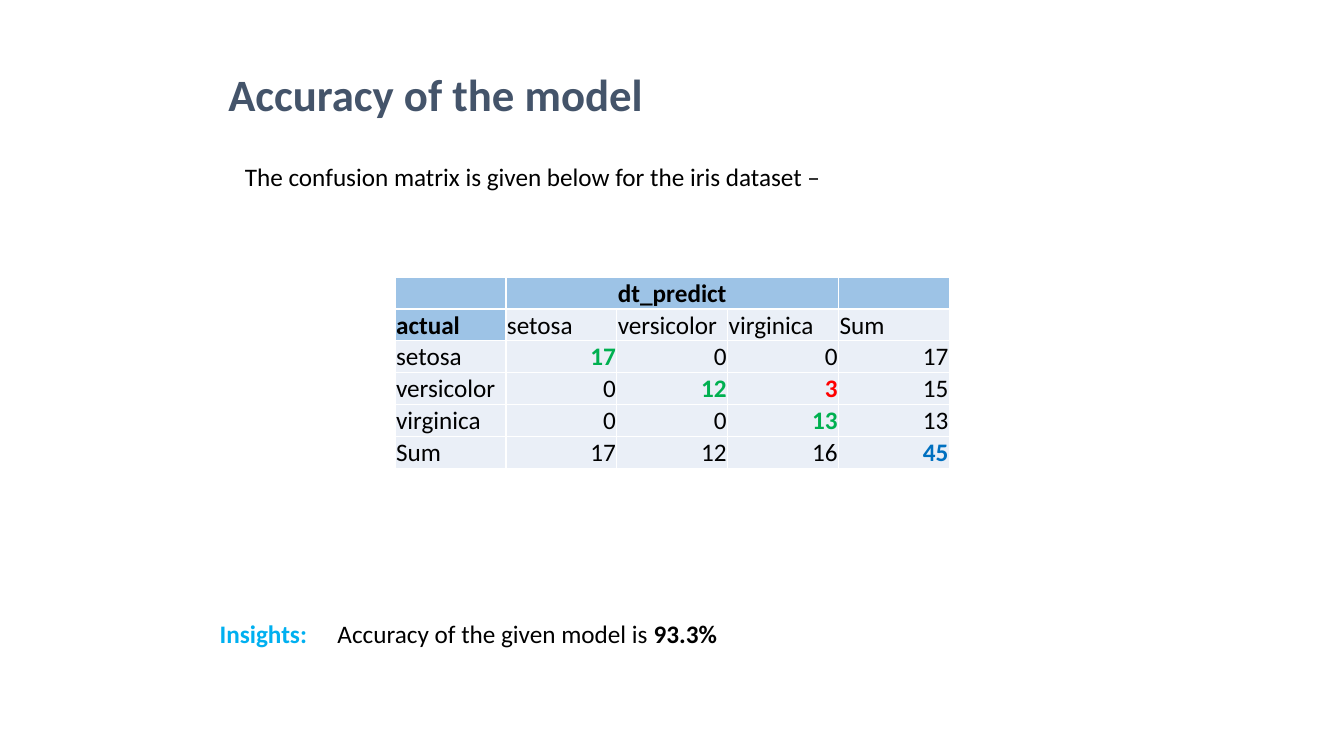
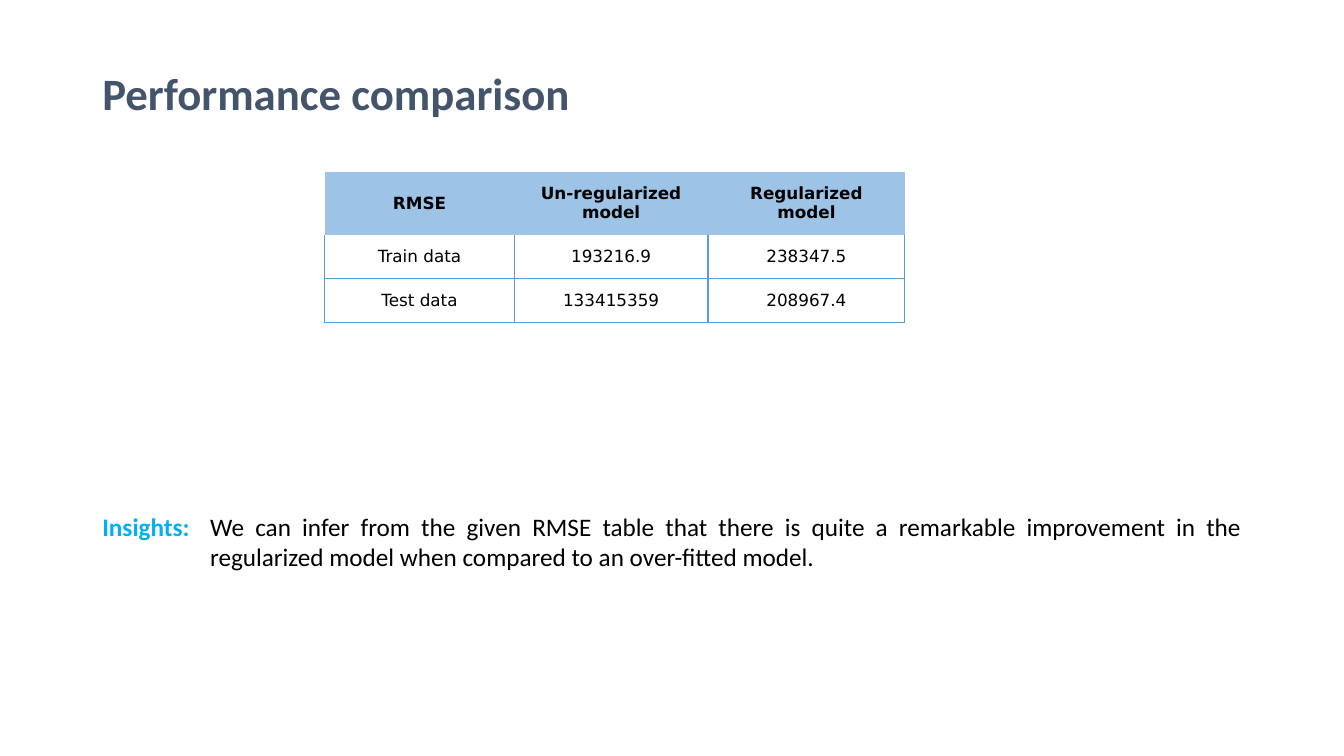
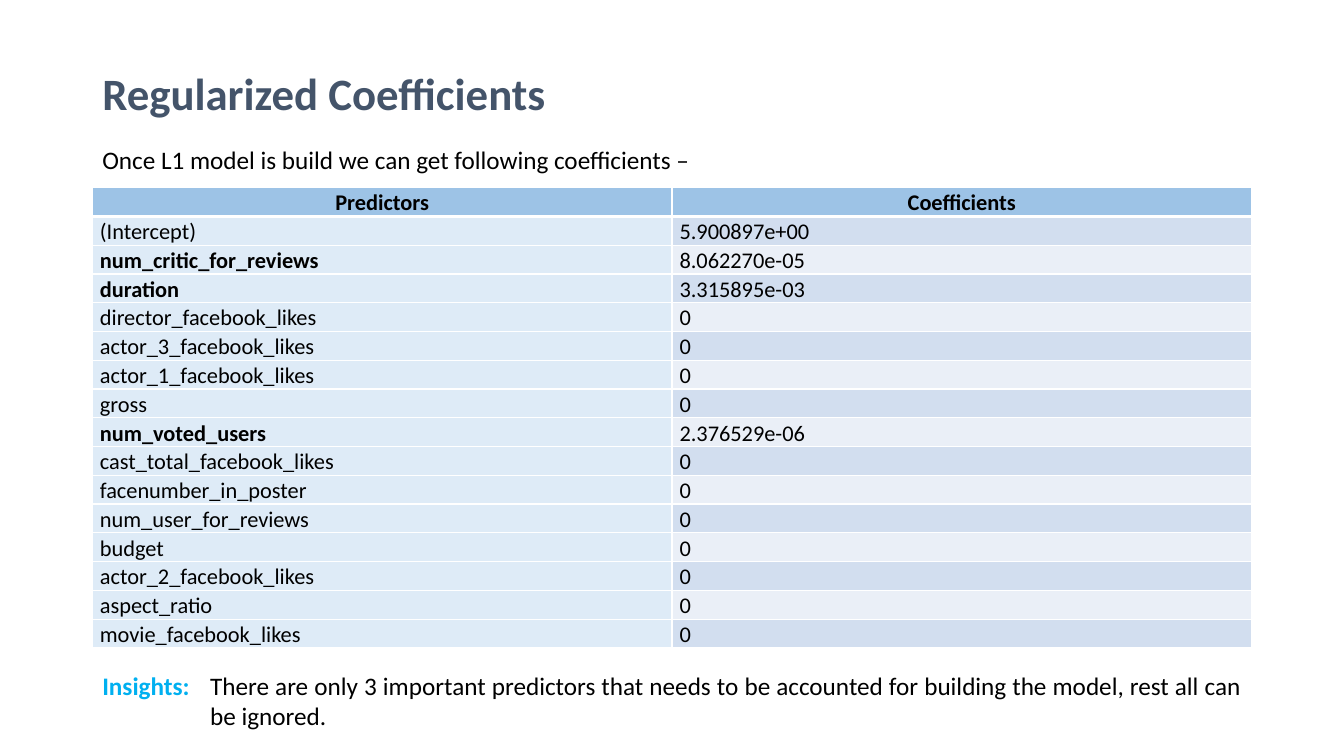
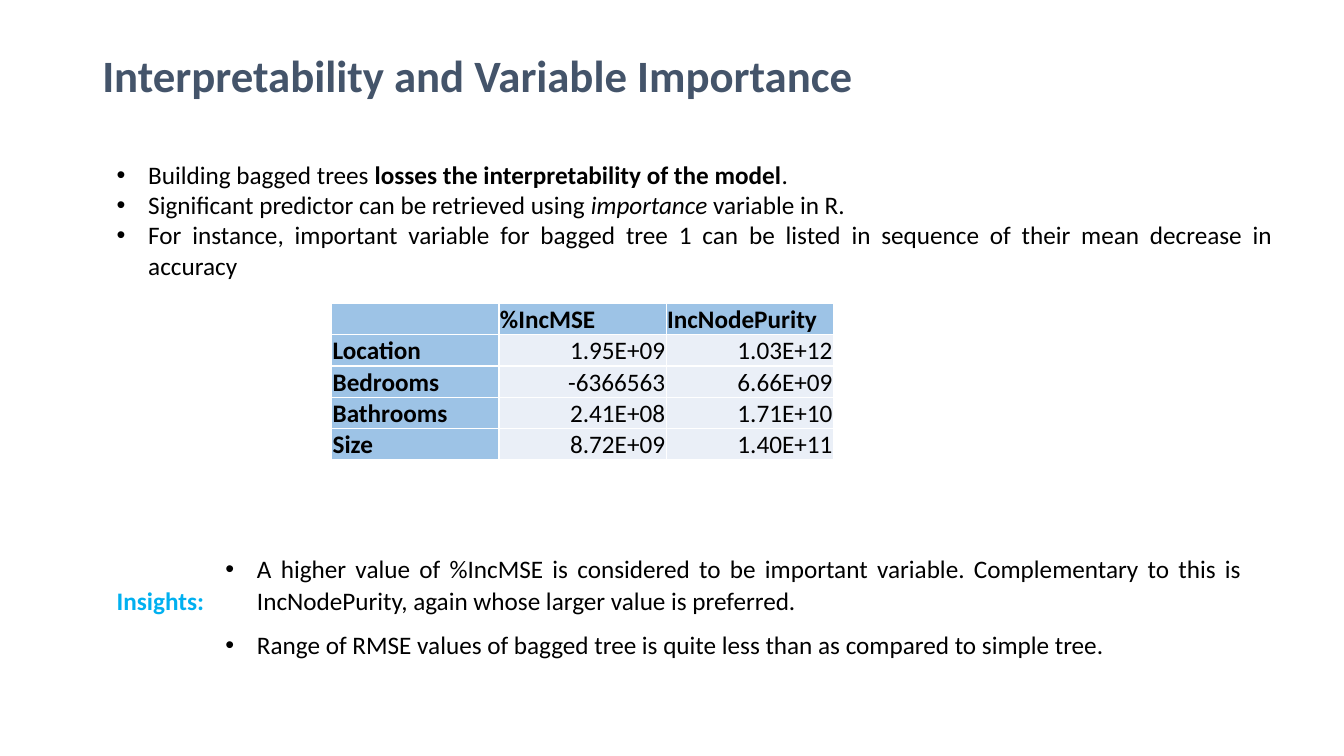
import dataclasses

import lxml.etree
import pptx
import pptx.dml.color
import pptx.enum.text
import pptx.oxml.ns
import pptx.util

Pt = pptx.util.Pt
RGBColor = pptx.dml.color.RGBColor
ALIGN = pptx.enum.text.PP_ALIGN
ANCHOR = pptx.enum.text.MSO_ANCHOR
qn = pptx.oxml.ns.qn

BLACK = RGBColor(0x00, 0x00, 0x00)
WHITE = RGBColor(0xFF, 0xFF, 0xFF)
SLATE = RGBColor(0x44, 0x54, 0x6A)
CYAN = RGBColor(0x00, 0xB0, 0xF0)
GREEN = RGBColor(0x00, 0xB0, 0x50)
RED = RGBColor(0xFF, 0x00, 0x00)
BLUE = RGBColor(0x00, 0x70, 0xC0)
RULE_BLUE = RGBColor(0x5B, 0x9B, 0xD5)
HEADER_FILL = RGBColor(0x9D, 0xC3, 0xE6)
LABEL_FILL = RGBColor(0xDE, 0xEB, 0xF7)
LIGHT_FILL = RGBColor(0xEA, 0xEF, 0xF7)
BAND_FILL = RGBColor(0xD2, 0xDE, 0xEF)

FONT = "Calibri"
TABLE_FONT = "DejaVu Sans"
LEFT = 66
CONTENT_WIDTH = 828
LABEL_WIDTH = 77
LINE_HEIGHT = 29
TWO_LINES = 51
BULLET_INDENT = 22.5
SIDES = ("L", "R", "T", "B")
WHITE_GRID = {side: (WHITE, 1) for side in SIDES}


@dataclasses.dataclass
class Cell:
    text: str
    fill: RGBColor = LIGHT_FILL
    align: ALIGN = ALIGN.LEFT
    bold: bool = False
    color: RGBColor = BLACK
    borders: dict = dataclasses.field(default_factory=lambda: WHITE_GRID)


@dataclasses.dataclass
class TableStyle:
    size: float = 18
    font: str = FONT
    margins: tuple = (0.75, 0.75, 0.75, 0)
    anchor: ANCHOR = ANCHOR.BOTTOM
    line_spacing: object = 1.0


def format_run(run, size, color=BLACK, bold=False, italic=False, font=FONT):
    run.font.name = font
    run.font.size = Pt(size)
    run.font.bold = bold
    run.font.italic = italic
    run.font.color.rgb = color


def add_bullet(paragraph):
    properties = paragraph._p.get_or_add_pPr()
    properties.set("marL", str(Pt(BULLET_INDENT)))
    properties.set("indent", str(-Pt(BULLET_INDENT)))
    lxml.etree.SubElement(properties, qn("a:buFont")).set("typeface", "Arial")
    lxml.etree.SubElement(properties, qn("a:buChar")).set("char", "•")


def add_text(slide, bounds, paragraphs, size=18, color=BLACK, bold=False,
             align=ALIGN.JUSTIFY, anchor=ANCHOR.TOP, line_spacing=1.0,
             space_after=0, bullets=False, wrap=True, grow=True):
    box = slide.shapes.add_textbox(*map(Pt, bounds))
    frame = box.text_frame
    frame.word_wrap = wrap
    frame.vertical_anchor = anchor
    sizes = pptx.enum.text.MSO_AUTO_SIZE
    frame.auto_size = sizes.SHAPE_TO_FIT_TEXT if grow else sizes.NONE
    for index, pieces in enumerate(paragraphs):
        paragraph = frame.add_paragraph() if index else frame.paragraphs[0]
        if bullets:
            add_bullet(paragraph)
        paragraph.alignment = align
        paragraph.line_spacing = line_spacing
        paragraph.space_after = Pt(space_after)
        for text, emphasis in pieces:
            run = paragraph.add_run()
            run.text = text
            format_run(run, size, color, bold or emphasis == "bold", emphasis == "italic")


def add_title(slide, text, bounds=(LEFT, 28.8, CONTENT_WIDTH, 60.5),
              anchor=ANCHOR.BOTTOM, line_spacing=0.9):
    add_text(slide, bounds, [[(text, "")]], size=32, color=SLATE, bold=True,
             anchor=anchor, line_spacing=line_spacing, grow=False)


def add_statement(slide, text, bounds):
    add_text(slide, bounds, [[(text, "")]], align=ALIGN.LEFT, wrap=False)


def add_insights_label(slide, left, top):
    add_text(slide, (left, top, LABEL_WIDTH, LINE_HEIGHT), [[("Insights:", "")]],
             color=CYAN, bold=True, align=ALIGN.LEFT, wrap=False)


def add_insight(slide, top, text):
    add_insights_label(slide, LEFT, top)
    bounds = (LEFT + LABEL_WIDTH, top, CONTENT_WIDTH - LABEL_WIDTH, TWO_LINES)
    add_text(slide, bounds, [[(text, "")]])


def set_borders(cell, borders):
    properties = cell._tc.get_or_add_tcPr()
    for side in SIDES:
        line = lxml.etree.SubElement(properties, qn("a:ln" + side))
        if side in borders:
            color, width = borders[side]
            line.set("w", str(Pt(width)))
            fill = lxml.etree.SubElement(line, qn("a:solidFill"))
            lxml.etree.SubElement(fill, qn("a:srgbClr")).set("val", str(color))
        else:
            lxml.etree.SubElement(line, qn("a:noFill"))


def fill_cell(cell, content, style):
    set_borders(cell, content.borders)
    cell.fill.solid()
    cell.fill.fore_color.rgb = content.fill
    (cell.margin_left, cell.margin_top,
     cell.margin_right, cell.margin_bottom) = map(Pt, style.margins)
    cell.vertical_anchor = style.anchor
    cell.text_frame.text = content.text
    paragraph = cell.text_frame.paragraphs[0]
    paragraph.alignment = content.align
    paragraph.line_spacing = style.line_spacing
    for run in paragraph.runs:
        format_run(run, style.size, content.color, content.bold, font=style.font)


def add_table(slide, left, top, widths, heights, rows, style):
    frame = slide.shapes.add_table(len(heights), len(widths), Pt(left), Pt(top),
                                   Pt(sum(widths)), Pt(sum(heights)))
    table = frame.table
    table.first_row = False
    table.horz_banding = False
    for column, width in zip(table.columns, widths):
        column.width = Pt(width)
    for row, height, contents in zip(table.rows, heights, rows):
        row.height = Pt(height)
        for cell, content in zip(row.cells, contents):
            fill_cell(cell, content, style)
    return table


def header(text, align=ALIGN.LEFT, borders=WHITE_GRID):
    return Cell(text, HEADER_FILL, align, True, borders=borders)


def number(text, color=None):
    return Cell(text, align=ALIGN.RIGHT, bold=color is not None, color=color or BLACK)


def build_accuracy(slide):
    add_title(slide, "Accuracy of the model", (156, 21.6, 648, 90), ANCHOR.MIDDLE, 1.0)
    counts = [
        ("setosa", "17", "0", "0", "17"),
        ("versicolor", "0", "12", "3", "15"),
        ("virginica", "0", "0", "13", "13"),
        ("Sum", "17", "12", "16", "45"),
    ]
    highlights = {(0, 0): GREEN, (1, 1): GREEN, (2, 2): GREEN, (1, 2): RED, (3, 3): BLUE}
    rows = [
        [header(text, ALIGN.CENTER) for text in ("", "dt_predict", "", "", "")],
        [header("actual")] + [Cell(name) for name, *_ in counts],
    ]
    for row, (name, *values) in enumerate(counts):
        rows.append([Cell(name)] + [number(value, highlights.get((row, column)))
                                    for column, value in enumerate(values)])
    table = add_table(slide, 282.2, 198, [79.2] * 5, [22.3] * 6, rows, TableStyle())
    table.cell(0, 1).merge(table.cell(0, 3))
    add_statement(slide, "The confusion matrix is given below for the iris dataset –",
                  (167.8, 111.6, 427, TWO_LINES))
    add_text(slide, (234, 437.8, 566.6, LINE_HEIGHT),
             [[("Accuracy of the given model is ", ""), ("93.3%", "bold")]])
    add_insights_label(slide, 149.8, 437.8)


def build_comparison(slide):
    add_title(slide, "Performance comparison")
    body = [("Train data", "193216.9", "238347.5"), ("Test data", "133415359", "208967.4")]
    rule = (RULE_BLUE, 1)
    body_borders = [{side: rule for side in "LRB"}, {side: rule for side in SIDES}]
    rows = [[header(text, ALIGN.CENTER, {})
             for text in ("RMSE", "Un-regularized model", "Regularized model")]]
    for texts, borders in zip(body, body_borders):
        rows.append([Cell(text, WHITE, ALIGN.CENTER, borders=borders) for text in texts])
    style = TableStyle(12, TABLE_FONT, (8.64,) * 4, ANCHOR.MIDDLE, Pt(14))
    add_table(slide, 232, 122.6, [135.4, 138.4, 140.6], [45, 31, 31], rows, style)
    add_insight(slide, 361.4, "We can infer from the given RMSE table that there is quite a "
                "remarkable improvement in the regularized model when compared to an "
                "over-fitted model.")


def build_coefficients(slide):
    add_title(slide, "Regularized Coefficients")
    coefficients = {
        "(Intercept)": "5.900897e+00",
        "num_critic_for_reviews": "8.062270e-05",
        "duration": "3.315895e-03",
        "director_facebook_likes": "0",
        "actor_3_facebook_likes": "0",
        "actor_1_facebook_likes": "0",
        "gross": "0",
        "num_voted_users": "2.376529e-06",
        "cast_total_facebook_likes": "0",
        "facenumber_in_poster": "0",
        "num_user_for_reviews": "0",
        "budget": "0",
        "actor_2_facebook_likes": "0",
        "aspect_ratio": "0",
        "movie_facebook_likes": "0",
    }
    header_borders = {**WHITE_GRID, "B": (WHITE, 3)}
    rows = [[header(text, ALIGN.CENTER, header_borders)
             for text in ("Predictors", "Coefficients")]]
    for index, (name, value) in enumerate(coefficients.items()):
        important = value != "0" and name != "(Intercept)"
        band = LIGHT_FILL if index % 2 else BAND_FILL
        rows.append([Cell(name, LABEL_FILL, bold=important),
                     Cell(value, band, ALIGN.JUSTIFY)])
    style = TableStyle(16, margins=(5.4, 0, 5.4, 0), anchor=ANCHOR.TOP, line_spacing=1.07)
    add_table(slide, LEFT, 134, [CONTENT_WIDTH / 2] * 2, [20.56] * len(rows), rows, style)
    add_statement(slide, "Once L1 model is build we can get following coefficients –",
                  (LEFT, 99.4, 444.2, LINE_HEIGHT))
    add_insight(slide, 475.2, "There are only 3 important predictors that needs to be "
                "accounted for building the model, rest all can be ignored.")


def build_importance(slide):
    add_title(slide, "Interpretability and Variable Importance",
              (LEFT, 15.8, CONTENT_WIDTH, 60.5))
    add_text(slide, (76.3, 110.2, 840.2, 94.3), [
        [("Building bagged trees ", ""), ("losses the interpretability of the model", "bold"),
         (".", "")],
        [("Significant predictor can be retrieved using ", ""), ("importance", "italic"),
         (" variable in R.", "")],
        [("For instance, important variable for bagged tree 1 can be listed in sequence of "
          "their mean decrease in accuracy", "")],
    ], bullets=True)
    measures = [
        ("Location", "1.95E+09", "1.03E+12"),
        ("Bedrooms", "-6366563", "6.66E+09"),
        ("Bathrooms", "2.41E+08", "1.71E+10"),
        ("Size", "8.72E+09", "1.40E+11"),
    ]
    rows = [[header(text) for text in ("", "%IncMSE", "IncNodePurity")]]
    rows += [[header(name)] + [number(value) for value in values]
             for name, *values in measures]
    add_table(slide, 236.9, 216.7, [119.5] * 3, [22.3] * 5, rows, TableStyle())
    add_insights_label(slide, 76.3, 414.7)
    add_text(slide, (154, 390.2, 740, 85.7), [
        [("A higher value of %IncMSE is considered to be important variable. Complementary "
          "to this is IncNodePurity, again whose larger value is preferred.", "")],
        [("Range of RMSE values of bagged tree is quite less than as compared to simple "
          "tree.", "")],
    ], bullets=True, line_spacing=1.07, space_after=8)


def main():
    presentation = pptx.Presentation()
    presentation.slide_width = Pt(960)
    presentation.slide_height = Pt(540)
    blank = presentation.slide_layouts[6]
    for build in (build_accuracy, build_comparison, build_coefficients, build_importance):
        build(presentation.slides.add_slide(blank))
    presentation.save("out.pptx")


if __name__ == "__main__":
    main()
